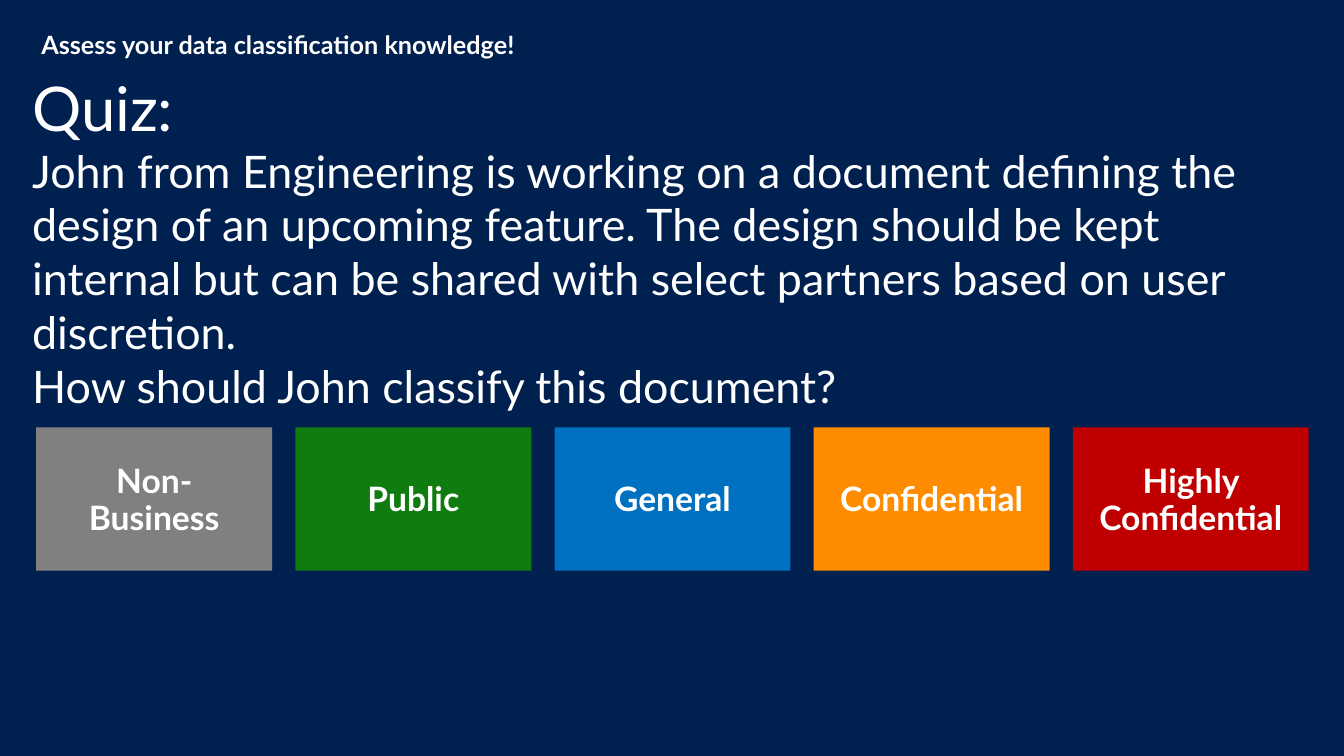
from dataclasses import dataclass

from pptx import Presentation
from pptx import util as u
from pptx.dml.color import RGBColor
from pptx.enum import shapes, text

NAVY = RGBColor(0x00, 0x20, 0x50)
WHITE = RGBColor(0xFF, 0xFF, 0xFF)
GREY = RGBColor(0x80, 0x80, 0x80)
GREEN = RGBColor(0x10, 0x7C, 0x10)
BLUE = RGBColor(0x00, 0x70, 0xC0)
ORANGE = RGBColor(0xFF, 0x8C, 0x00)
RED = RGBColor(0xC0, 0x00, 0x00)
FONT = "Lato"


@dataclass
class Box:
    left: float
    top: float
    width: float
    height: float


@dataclass
class Line:
    wording: str
    size: int
    bold: bool = False


@dataclass
class Answer:
    label: str
    color: RGBColor


ANSWERS = [
    Answer("Non-Business", GREY),
    Answer("Public", GREEN),
    Answer("General", BLUE),
    Answer("Confidential", ORANGE),
    Answer("Highly Confidential", RED),
]
ANSWER_LEFT, ANSWER_STEP = 0.36, 2.57

QUESTION = [
    Line("Quiz:", 44),
    Line(
        "John from Engineering is working on a document defining the design of an "
        "upcoming feature. The design should be kept internal but can be shared with "
        "select partners based on user discretion.",
        32,
    ),
    Line("How should John classify this document?", 32),
]


def place(box: Box) -> list:
    return [u.Inches(v) for v in (box.left, box.top, box.width, box.height)]


def set_insets(tf, left: float, top: float, right: float, bottom: float) -> None:
    tf.margin_left, tf.margin_top = u.Inches(left), u.Inches(top)
    tf.margin_right, tf.margin_bottom = u.Inches(right), u.Inches(bottom)


def add_run(p, line: Line) -> None:
    r = p.add_run()
    r.text = line.wording
    r.font.name = FONT
    r.font.size = u.Pt(line.size)
    r.font.bold = line.bold
    r.font.color.rgb = WHITE


def add_rectangle(s, box: Box, color: RGBColor):
    sp = s.shapes.add_shape(shapes.MSO_SHAPE.RECTANGLE, *place(box))
    sp.shadow.inherit = False
    sp.fill.solid()
    sp.fill.fore_color.rgb = color
    sp.line.fill.background()
    return sp


def add_answer(s, box: Box, answer: Answer) -> None:
    tf = add_rectangle(s, box, answer.color).text_frame
    tf.word_wrap = True
    tf.vertical_anchor = text.MSO_ANCHOR.MIDDLE
    set_insets(tf, 0.2, 0.2, 0.2, 0.16)
    p = tf.paragraphs[0]
    p.alignment = text.PP_ALIGN.CENTER
    p.line_spacing = 0.9
    add_run(p, Line(answer.label, 24, True))


def add_text(s, box: Box, lines: list[Line]):
    tf = s.shapes.add_textbox(*place(box)).text_frame
    tf.word_wrap = True
    tf.auto_size = text.MSO_AUTO_SIZE.SHAPE_TO_FIT_TEXT
    for i, line in enumerate(lines):
        p = tf.add_paragraph() if i else tf.paragraphs[0]
        add_run(p, line)
    return tf


def main() -> None:
    prs = Presentation()
    prs.slide_width, prs.slide_height = u.Inches(13.33), u.Inches(7.5)
    s = prs.slides.add_slide(prs.slide_layouts[6])
    add_rectangle(s, Box(0, 0, 13.33, 7.5), NAVY)

    for i, answer in enumerate(ANSWERS):
        add_answer(s, Box(ANSWER_LEFT + i * ANSWER_STEP, 4.24, 2.34, 1.42), answer)

    heading = Line("Assess your data classification knowledge!", 18, True)
    tf = add_text(s, Box(0.21, 0.19, 5.91, 0.6), [heading])
    set_insets(tf, 0.2, 0.16, 0.2, 0.16)
    tf.paragraphs[0].line_spacing = 0.9
    tf.paragraphs[0].space_after = u.Pt(6)

    add_text(s, Box(0.22, 0.64, 12.89, 3.67), QUESTION)
    prs.save("out.pptx")


if __name__ == "__main__":
    main()
